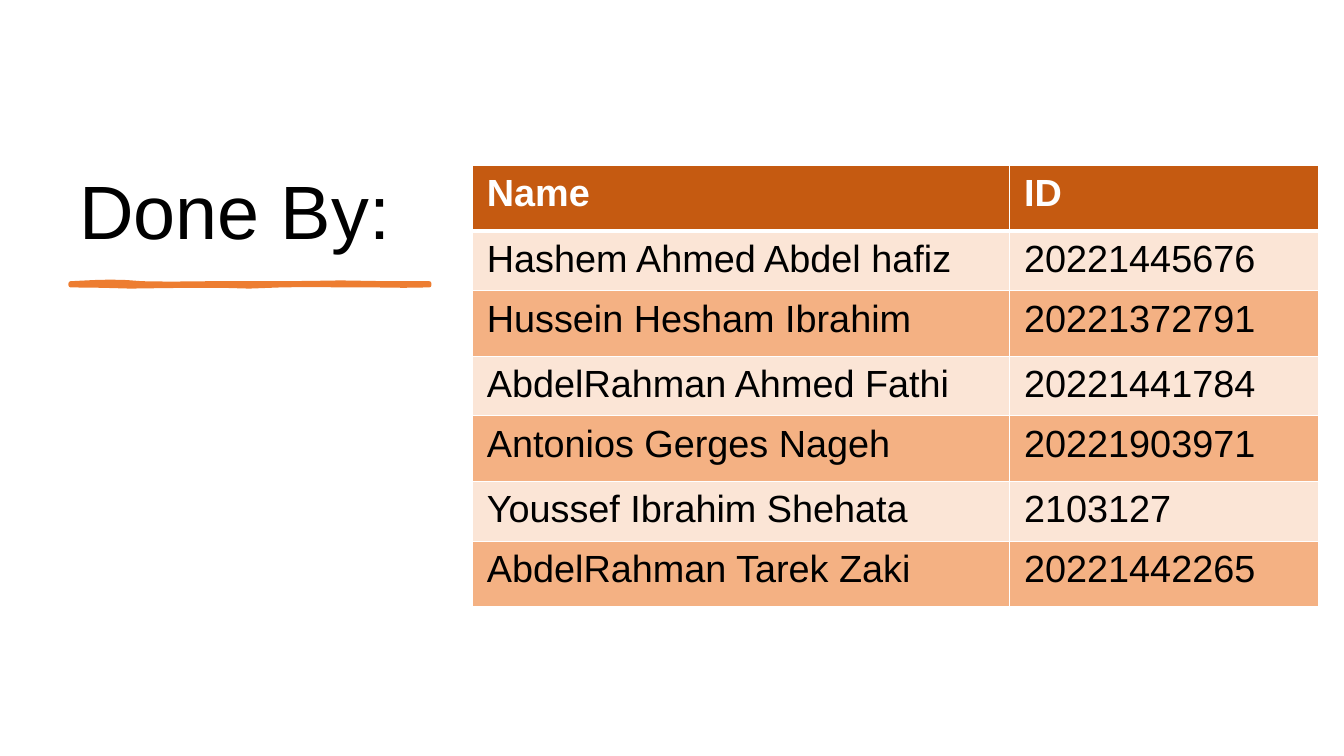
from pptx import Presentation
from pptx.dml.color import RGBColor
from pptx.enum.text import MSO_ANCHOR
from pptx.oxml.ns import qn
from pptx.util import Cm, Pt
from lxml.etree import SubElement

FONT = "Arial"
BLACK = RGBColor(0x00, 0x00, 0x00)
WHITE = RGBColor(0xFF, 0xFF, 0xFF)
ORANGE = RGBColor(0xED, 0x7D, 0x31)
HEADER_FILL = RGBColor(0xC5, 0x5A, 0x11)
LIGHT_FILL = RGBColor(0xFB, 0xE5, 0xD6)
DARK_FILL = RGBColor(0xF4, 0xB1, 0x83)

MEMBERS = [
    ("Name", "ID"),
    ("Hashem Ahmed Abdel hafiz", "20221445676"),
    ("Hussein Hesham Ibrahim", "20221372791"),
    ("AbdelRahman Ahmed Fathi", "20221441784"),
    ("Antonios Gerges Nageh", "20221903971"),
    ("Youssef Ibrahim Shehata", "2103127"),
    ("AbdelRahman Tarek Zaki", "20221442265"),
]
COLUMN_WIDTHS = [13.54, 7.8]
ROW_HEIGHTS = [1.65, 1.42, 1.65, 1.47, 1.65, 1.42, 1.65]

STROKE_OUTLINE = [
    (0, 0), (60, -3), (100, -4), (140, -3), (180, 0), (250, 1), (350, 0),
    (540, 0), (620, -1), (680, -2), (740, -1), (800, 0), (904, 0),
    (904, 5), (840, 6), (760, 5), (690, 5), (600, 4), (530, 5), (450, 8),
    (380, 6), (300, 6), (220, 7), (150, 8), (80, 6), (0, 5),
]


def format_text(paragraph, size, color, bold=False):
    for run in paragraph.runs:
        run.font.name = FONT
        run.font.size = Pt(size)
        run.font.bold = bold
        run.font.color.rgb = color


def add_title(slide, left, top, width, height):
    text_frame = slide.shapes.add_textbox(left, top, width, height).text_frame
    text_frame.word_wrap = True
    text_frame.vertical_anchor = MSO_ANCHOR.BOTTOM
    text_frame.text = "Done By:"
    paragraph = text_frame.paragraphs[0]
    paragraph.line_spacing = 0.9
    format_text(paragraph, 54, BLACK)


def add_brush_stroke(slide, left, top):
    start, *points = STROKE_OUTLINE
    builder = slide.shapes.build_freeform(*start, scale=Cm(0.01))
    builder.add_line_segments(points, close=True)
    shape = builder.convert_to_shape(left, top)
    shape.shadow.inherit = False
    shape.fill.solid()
    shape.fill.fore_color.rgb = ORANGE
    shape.line.color.rgb = ORANGE
    shape.line.width = Pt(3)
    SubElement(shape.line._get_or_add_ln(), qn("a:round"))


def add_borders(cell, bottom_width):
    properties = cell._tc.get_or_add_tcPr()
    widths = {"a:lnL": 1, "a:lnR": 1, "a:lnT": 1, "a:lnB": bottom_width}
    for tag, width in widths.items():
        line = SubElement(properties, qn(tag), w=str(Pt(width)))
        fill = SubElement(line, qn("a:solidFill"))
        SubElement(fill, qn("a:srgbClr"), val=str(WHITE))


def format_cell(cell, text, row_index):
    is_header = row_index == 0
    cell.text_frame.text = text
    format_text(cell.text_frame.paragraphs[0], 27,
                WHITE if is_header else BLACK, is_header)
    cell.margin_left = cell.margin_right = Cm(0.37)
    cell.margin_top = cell.margin_bottom = Cm(0.18)
    add_borders(cell, 3 if is_header else 1)
    cell.fill.solid()
    band_fill = LIGHT_FILL if row_index % 2 else DARK_FILL
    cell.fill.fore_color.rgb = HEADER_FILL if is_header else band_fill


def add_member_table(slide, left, top):
    table = slide.shapes.add_table(
        len(MEMBERS), len(COLUMN_WIDTHS), left, top,
        Cm(sum(COLUMN_WIDTHS)), Cm(sum(ROW_HEIGHTS))).table
    for column, width in zip(table.columns, COLUMN_WIDTHS):
        column.width = Cm(width)
    for row_index, (row, height) in enumerate(zip(table.rows, ROW_HEIGHTS)):
        row.height = Cm(height)
        for cell, text in zip(row.cells, MEMBERS[row_index]):
            format_cell(cell, text, row_index)


def main():
    presentation = Presentation()
    presentation.slide_width = Cm(33.87)
    presentation.slide_height = Cm(19.05)
    slide = presentation.slides.add_slide(presentation.slide_layouts[6])
    add_title(slide, Cm(1.75), Cm(1.78), Cm(9.52), Cm(4.78))
    add_brush_stroke(slide, Cm(1.78), Cm(7.14))
    add_member_table(slide, Cm(11.9), Cm(4.17))
    presentation.save("out.pptx")


if __name__ == "__main__":
    main()
